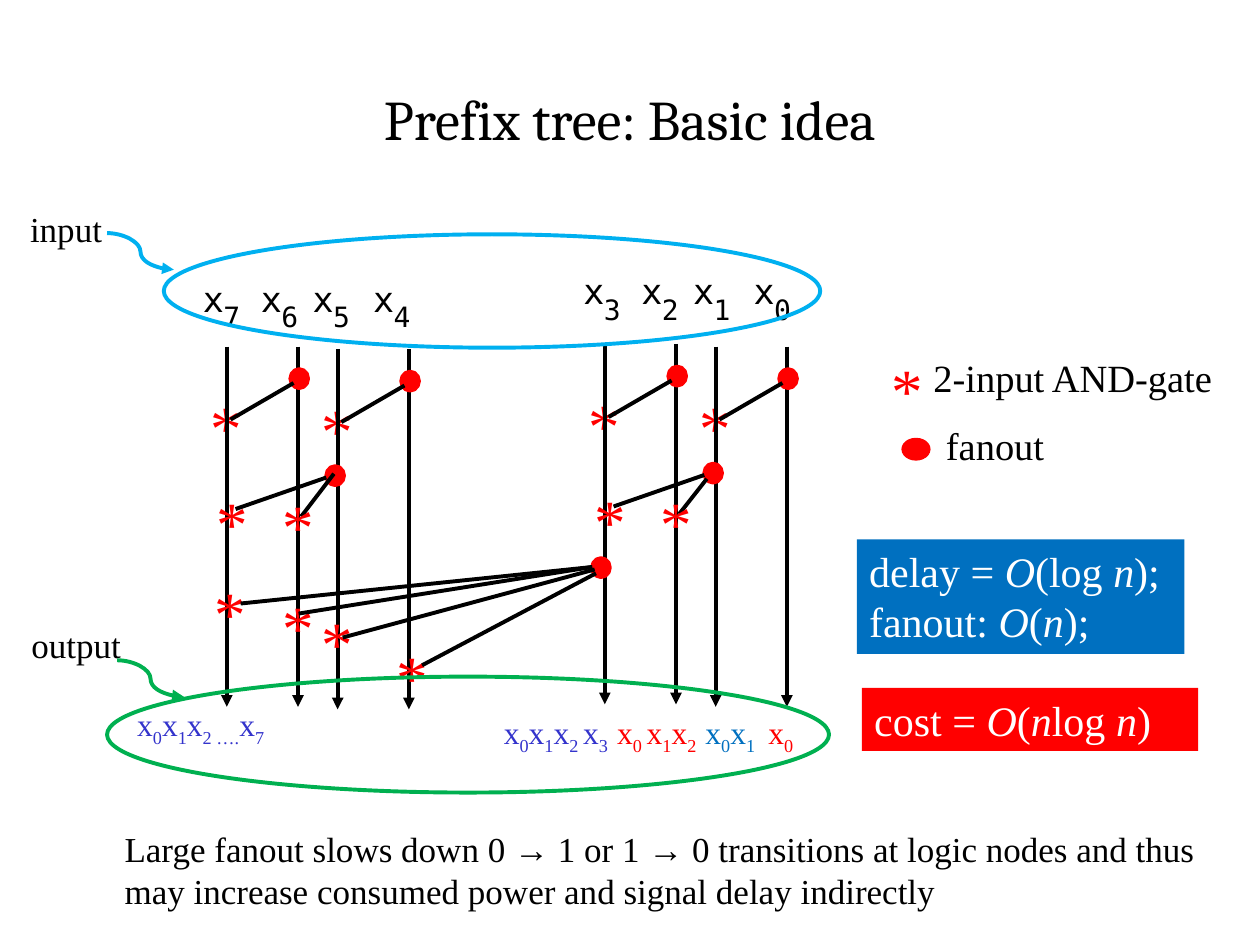
from typing import NamedTuple

import pptx
import pptx.dml.color
import pptx.enum.shapes
import pptx.enum.text
import pptx.oxml
import pptx.oxml.ns
import pptx.util
from lxml import etree

COLORS = {
    "black": "000000", "white": "FFFFFF", "red": "FF0000", "violet": "3333CC",
    "blue": "0070C0", "sky": "00B0F0", "green": "00B050",
}
SERIF, MONO = "Times New Roman", "DejaVu Sans Mono"
COLS, ROWS = 100, 75
LINE_WIDTH = pptx.util.Pt(2.25)
SHAPE = pptx.enum.shapes.MSO_SHAPE
CONNECTOR = pptx.enum.shapes.MSO_CONNECTOR
ALIGN = pptx.enum.text.PP_ALIGN
ANCHOR = pptx.enum.text.MSO_ANCHOR

prs = pptx.Presentation()
prs.slide_width, prs.slide_height = pptx.util.Inches(10), pptx.util.Inches(7.5)
slide = prs.slides.add_slide(prs.slide_layouts[6])


class Point(NamedTuple):
    """A place on the grid, in columns and rows."""
    x: float
    y: float

    def shift(self, dx: float, dy: float) -> "Point":
        return Point(self.x + dx, self.y + dy)


class Box(NamedTuple):
    x: float
    y: float
    w: float
    h: float


class Run(NamedTuple):
    text: str
    color: str | None = None
    italic: bool = False
    sub: bool = False


class Half(NamedTuple):
    """Four wires with their inputs; origin is the top of the first wire."""
    origin: Point
    labels: Point
    indices: str
    steep: tuple[Point, Point]


def col(n: float) -> int:
    return round(prs.slide_width * n / COLS)


def row(n: float) -> int:
    return round(prs.slide_height * n / ROWS)


def emu(box: Box) -> tuple[int, int, int, int]:
    return col(box.x), row(box.y), col(box.w), row(box.h)


def rgb(name: str) -> pptx.dml.color.RGBColor:
    return pptx.dml.color.RGBColor.from_string(COLORS[name])


def write(target, paragraphs: list[list[Run]], *, size: float = 20, color: str = "black",
          font: str = SERIF, align=ALIGN.LEFT, anchor=ANCHOR.TOP,
          tight: bool = False, tabs: tuple[float, ...] = ()) -> None:
    """Write runs into a shape, or into a new text box when given a Box."""
    sp = slide.shapes.add_textbox(*emu(target)) if isinstance(target, Box) else target
    tf = sp.text_frame
    tf.word_wrap, tf.vertical_anchor = not tight, anchor
    if tight:
        tf.margin_left = tf.margin_right = tf.margin_top = tf.margin_bottom = 0
    for i, runs in enumerate(paragraphs):
        p = tf.add_paragraph() if i else tf.paragraphs[0]
        p.alignment = align
        if tabs:
            stops = etree.SubElement(p._p.get_or_add_pPr(), pptx.oxml.ns.qn("a:tabLst"))
            for stop in tabs:
                etree.SubElement(stops, pptx.oxml.ns.qn("a:tab"), pos=str(col(stop)), algn="l")
        for run in runs:
            r = p.add_run()
            r.text = run.text
            r.font.name, r.font.size, r.font.italic = font, pptx.util.Pt(size), run.italic
            r.font.color.rgb = rgb(run.color or color)
            if run.sub:
                r._r.get_or_add_rPr().set("baseline", "-25000")


def product(color: str, *subscripts: str) -> list[Run]:
    """A product of x terms, one for each subscript."""
    return [run for s in subscripts for run in (Run("x", color), Run(s, color, sub=True))]


def formula(text: str) -> list[Run]:
    """Runs in which the parts between underscores are italic."""
    return [Run(t, italic=i % 2 == 1) for i, t in enumerate(text.split("_")) if t]


def shape(kind, box: Box, fill: str | None = None, line: str | None = None):
    sp = slide.shapes.add_shape(kind, *emu(box))
    sp.shadow.inherit = False
    if fill:
        sp.fill.solid()
        sp.fill.fore_color.rgb = rgb(fill)
    else:
        sp.fill.background()
    if line:
        sp.line.color.rgb, sp.line.width = rgb(line), LINE_WIDTH
    else:
        sp.line.fill.background()
    return sp


def connect(a: Point, b: Point, color: str = "black", arrow: bool = False,
            kind=CONNECTOR.STRAIGHT) -> None:
    cx = slide.shapes.add_connector(kind, col(a.x), row(a.y), col(b.x), row(b.y))
    cx.line.color.rgb, cx.line.width = rgb(color), LINE_WIDTH
    if arrow:
        etree.SubElement(cx.line._get_or_add_ln(), pptx.oxml.ns.qn("a:tailEnd"), type="triangle")
    etree.SubElement(cx._element.spPr, pptx.oxml.ns.qn("a:effectLst"))


def gate(at: Point) -> None:
    write(Box(*at, 3.9, 7.1), [[Run("*")]], size=36, color="red")


def fanout(at: Point, width: float = 1.4) -> None:
    shape(SHAPE.OVAL, Box(*at, width, 1.5), "red", "red")


def draw_pair(top: Point) -> None:
    """Two wires, the second one feeding a gate on the first."""
    gate(top.shift(-2.3, 2.8))
    for dx in (5.65, 0):
        connect(top.shift(dx, 0), top.shift(dx, 28.6), arrow=True)
    fanout(top.shift(5.05, 1.8))
    connect(top.shift(5.3, 2.9), top.shift(0.3, 5.8))


def draw_half(half: Half) -> None:
    top = half.origin
    for dx, index in zip((0, 4.6, 8.7, 13.5), half.indices):
        at = half.labels.shift(dx, 0)
        for box, text, size in ((Box(*at, 1.7, 3.3), "x", 20),
                                (Box(*at.shift(1.6, 1.8), 1.4, 2.7), index, 16)):
            write(box, [[Run(text)]], size=size, font=MONO, align=ALIGN.CENTER, tight=True)
    draw_pair(top.shift(8.8, 0.2))
    draw_pair(top)
    fanout(top.shift(7.9, 9.5))
    connect(*half.steep)
    connect(top.shift(7.9, 10.4), top.shift(0.7, 12.9))
    gate(top.shift(3.4, 10.6))
    gate(top.shift(-1.8, 10.4))


HALVES = (
    Half(Point(48, 27.3), Point(46.3, 21.4), "3210", (Point(56.1, 38), Point(53.9, 40.8))),
    Half(Point(18, 27.5), Point(16.1, 22), "7654", (Point(26.5, 37.6), Point(23.9, 41))),
)
# Each last-level branch: where it starts, where it ends, and its gate.
LAST_LEVEL = (
    (Point(47.3, 45.5), Point(33.5, 52.8), Point(30.5, 50.1)),
    (Point(47.2, 45.2), Point(27.2, 50.6), Point(24.5, 47.4)),
    (Point(47, 45), Point(23.7, 48.7), Point(21.4, 46.1)),
    (Point(47, 45), Point(19.1, 47.9), Point(16, 45)),
)

write(Box(0, 5.6, 100, 7.5), [[Run("Prefix tree: Basic idea")]], size=32, font="Cambria",
      align=ALIGN.CENTER, anchor=ANCHOR.MIDDLE)

write(Box(39, 56.1, 45, 2.5),
      [product("violet", "0", "1", "2 ", "3") + [Run("\t")]
       + product("red", "0 ", "1", "2") + [Run("\t")]
       + product("blue", "0", "1") + [Run("\t")] + product("red", "0")],
      size=18, tabs=(9, 16, 21))

for box, fill, lines in (
        (Box(68, 42.8, 26, 9.1), "blue", ("delay = _O_(log _n_);", "fanout: _O_(_n_);")),
        (Box(68.4, 54.6, 26.7, 5), "red", ("cost = _O_(_n_log _n_)",))):
    write(shape(SHAPE.RECTANGLE, box, fill), [formula(t) for t in lines],
          size=24, color="white", anchor=ANCHOR.TOP)

for half in HALVES:
    draw_half(half)
fanout(Point(47, 44.3))
for start, end, gate_at in LAST_LEVEL:
    gate(gate_at)
    connect(start, end)

write(Box(73.1, 27.6, 25.7, 4.7), [[Run("2-input AND-gate")]], size=22)
fanout(Point(71.7, 34.9), width=2)
write(Box(74.1, 33, 22.3, 4.7), [[Run("fanout")]], size=22)
gate(Point(69.8, 27.3))

write(Box(9.9, 55.5, 13.2, 4), [product("violet", "0", "1", "2 ….", "7")], size=18)

for name, label, ring, start, color in (
        ("input", Point(1.4, 16), Box(13, 18.6, 52.1, 9), Point(8.5, 18.5), "sky"),
        ("output", Point(1.5, 49), Box(8.5, 53.7, 57.3, 9.2), Point(9.3, 52.4), "green")):
    shape(SHAPE.OVAL, ring, line=color)
    write(Box(*label, 11.6, 4.4), [[Run(name)]])
    connect(start, start.shift(5.3, 2.9), color, arrow=True, kind=CONNECTOR.CURVE)

write(Box(8.9, 65.2, 88.8, 7.7), [[Run(
    "Large fanout slows down 0 → 1 or 1 → 0 transitions at logic nodes and thus "
    "may increase consumed power and signal delay indirectly")]])

prs.save("out.pptx")
